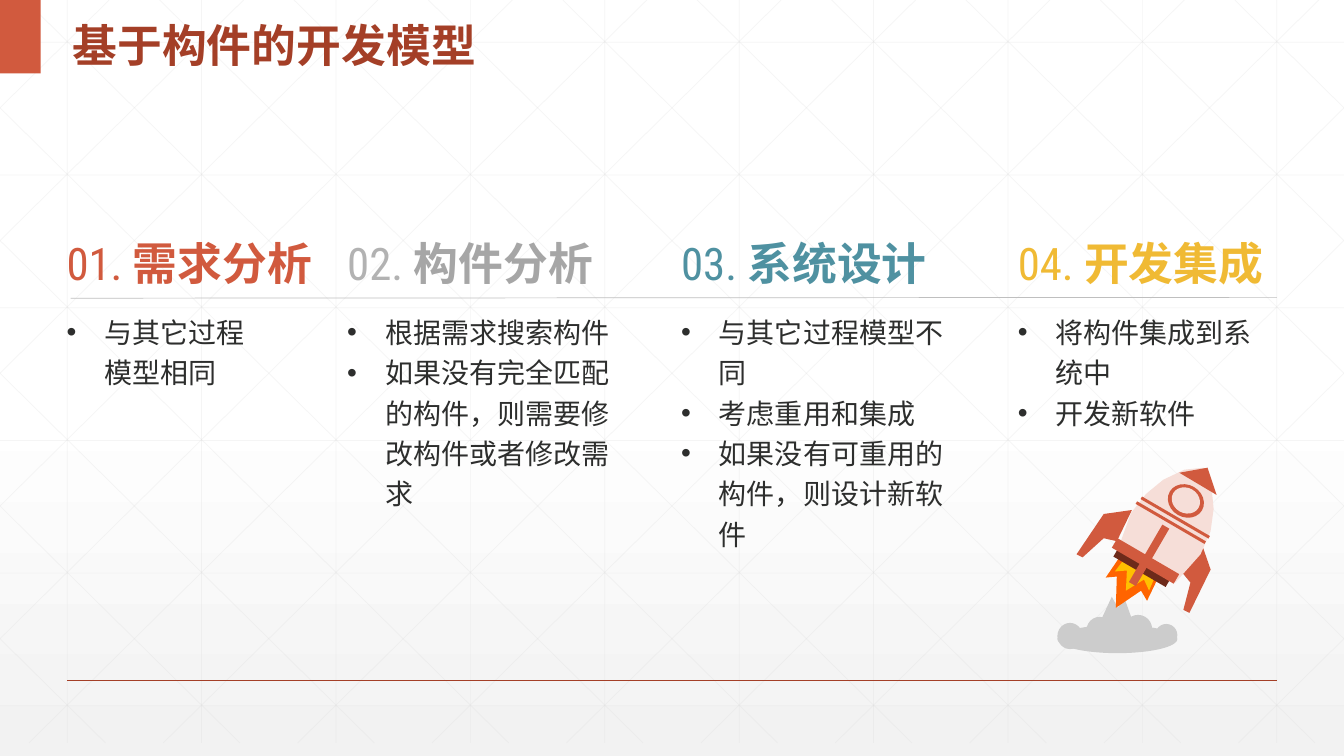
from lxml.etree import SubElement
from pptx import Presentation
from pptx.dml.color import RGBColor
from pptx.enum.shapes import MSO_CONNECTOR, MSO_SHAPE
from pptx.enum.text import MSO_ANCHOR, MSO_AUTO_SIZE, PP_ALIGN
from pptx.oxml.ns import qn
from pptx.util import Pt

COLORS = {
    "white": "FFFFFF", "mist": "F2F2F2", "lattice": "D9D9D9", "rule": "BFBFBF",
    "brick": "A43F27", "red": "D15A3E", "number gray": "B2B2B2", "gray": "A6A6A6",
    "teal": "4F91A1", "gold": "F0BA34", "ink": "2D2E2D", "smoke": "CCCCCC",
    "orange": "FF6400", "amber": "FFC000", "blush": "F6DED8", "maroon": "6D2A1A",
}
HAN, SANS, NARROW = "Noto Sans CJK SC", "Arial", "Roboto Condensed"
WIDTH, HEIGHT = 960, 540
HEAD_TOP, LIST_TOP = 163.5, 220.5

TITLE = "基于构件的开发模型"
STEPS = [
    dict(name="需求分析", number_color="red", color="red", left=47.5, width=140.5,
         height=163, points=["与其它过程模型相同"]),
    dict(name="构件分析", number_color="number gray", color="gray", left=248, width=190,
         height=191.5,
         points=["根据需求搜索构件", "如果没有完全匹配的构件，则需要修改构件或者修改需求"]),
    dict(name="系统设计", number_color="teal", color="teal", left=486.5, width=192,
         height=191.5,
         points=["与其它过程模型不同", "考虑重用和集成", "如果没有可重用的构件，则设计新软件"]),
    dict(name="开发集成", number_color="gold", color="gold", left=727, width=169,
         height=90, points=["将构件集成到系统中", "开发新软件"]),
]

ROCKET_UNIT = 0.72
ROCKET_TILT = 30.2
SMOKE_PUFFS = [(1049, 620, 119, 28), (1049, 618, 25, 26), (1078, 612, 26, 26),
               (1115, 610, 28, 28), (1146, 619, 22, 22)]
OUTLINES = [
    ("smoke", [(1090, 620), (1103, 592), (1109, 603), (1115, 592), (1125, 620)]),
    ("orange", [(1114, 548), (1097, 573), (1108, 572), (1107, 603), (1132, 586),
                (1138, 596), (1151, 569)]),
    ("amber", [(1119, 550), (1106, 567), (1118, 566), (1117, 586), (1135, 575),
               (1140, 586), (1148, 567)]),
    ("red", [(1123, 506), (1095, 510), (1068, 550), (1074, 553), (1095, 534), (1108, 537)]),
    ("red", [(1192, 539), (1201, 565), (1180, 608), (1174, 605), (1181, 578), (1172, 567)]),
    ("blush", [(1166, 578), (1191, 550), (1201, 527), (1204, 505), (1202, 484),
               (1194, 464), (1175, 466), (1154, 476), (1137, 490), (1122, 509), (1109, 545)]),
    ("red", [(1207, 491), (1198, 464), (1170, 469)]),
]
BANDS = [("red", 1127, 512, 78, 3), ("red", 1122, 517, 79, 3),
         ("maroon", 1103, 558, 60, 10), ("red", 1101, 551, 71, 11),
         ("red", 1136, 518, 8, 66)]
PORTHOLE = [("red", 1158, 481, 37, 32), ("blush", 1162, 484, 29, 25)]


def rgb(color):
    return RGBColor.from_string(COLORS[color])


def write_text(frame, paragraphs, size=20, spacing=1.0, anchor=MSO_ANCHOR.TOP,
               inset=0, bullet=None, hang=27):
    frame.word_wrap = True
    frame.auto_size = MSO_AUTO_SIZE.NONE
    frame.vertical_anchor = anchor
    frame.margin_left = frame.margin_right = Pt(inset)
    frame.margin_top = frame.margin_bottom = Pt(inset / 2)
    for index, runs in enumerate(paragraphs):
        paragraph = frame.add_paragraph() if index else frame.paragraphs[0]
        if bullet:
            properties = paragraph._p.get_or_add_pPr()
            properties.set("marL", str(Pt(hang)))
            properties.set("indent", str(-Pt(hang)))
            SubElement(properties, qn("a:buFont"), typeface=SANS)
            SubElement(properties, qn("a:buChar"), char=bullet)
        paragraph.alignment = PP_ALIGN.LEFT
        paragraph.line_spacing = spacing
        paragraph.space_before = Pt(0)
        for words, font_name, color, bold in runs:
            run = paragraph.add_run()
            run.text = words
            run.font.size = Pt(size)
            run.font.bold = bold
            run.font.color.rgb = rgb(color)
            run.font.name = font_name
            SubElement(run._r.get_or_add_rPr(), qn("a:ea"), typeface=HAN)


def place(shape, left, top, width, height):
    shape.left, shape.top, shape.width, shape.height = map(Pt, (left, top, width, height))


def draw_line(shapes, start, end, color, weight, alpha=None):
    line = shapes.add_connector(MSO_CONNECTOR.STRAIGHT, *map(Pt, start + end))
    line.line.color.rgb = rgb(color)
    line.line.width = Pt(weight)
    SubElement(line._element.spPr, qn("a:effectLst"))
    if alpha:
        tint = line._element.spPr.find(".//" + qn("a:srgbClr"))
        SubElement(tint, qn("a:alpha"), val=str(alpha * 1000))


def paint(shape, color):
    shape.shadow.inherit = False
    shape.fill.solid()
    shape.fill.fore_color.rgb = rgb(color)
    shape.line.fill.background()


def draw_lattice(slide, bottom=530.6, step_x=96, step_y=94.8):
    group = slide.shapes.add_group_shape()
    lines = [((48 + step_x * k, 0), (48 + step_x * k, bottom)) for k in range(10)]
    lines += [((0, 30.2 + step_y * k), (WIDTH, 30.2 + step_y * k)) for k in range(6)]
    slope = step_y / step_x
    for k in range(-5, 10):
        origin = 18 + step_x * k
        x1, x2 = max(0, origin), min(WIDTH, origin + bottom / slope)
        y1, y2 = (x1 - origin) * slope, (x2 - origin) * slope
        lines += [((x1, y1), (x2, y2)), ((WIDTH - x1, y1), (WIDTH - x2, y2))]
    for start, end in lines:
        draw_line(group.shapes, start, end, "lattice", 0.5, alpha=25)
    group._element.getparent().insert(2, group._element)


def draw_rocket(slide):
    rocket = slide.shapes.add_group_shape().shapes

    def add_part(kind, color, box, tilt=0):
        part = rocket.add_shape(kind, *(Pt(v * ROCKET_UNIT) for v in box))
        part.rotation = tilt
        paint(part, color)

    for puff in SMOKE_PUFFS:
        add_part(MSO_SHAPE.OVAL, "smoke", puff)
    for color, outline in OUTLINES:
        first, *others = [(Pt(x * ROCKET_UNIT), Pt(y * ROCKET_UNIT)) for x, y in outline]
        builder = rocket.build_freeform(*first)
        builder.add_line_segments(others, close=True)
        paint(builder.convert_to_shape(), color)
    for kind, parts in ((MSO_SHAPE.RECTANGLE, BANDS), (MSO_SHAPE.OVAL, PORTHOLE)):
        for color, *box in parts:
            add_part(kind, color, box, ROCKET_TILT)


def main():
    deck = Presentation()
    deck.slide_width, deck.slide_height = Pt(WIDTH), Pt(HEIGHT)
    slide = deck.slides.add_slide(deck.slide_layouts.get_by_name("Comparison"))
    backdrop = slide.background.fill
    backdrop.gradient()
    backdrop.gradient_angle = 270
    for stop, position, color in zip(backdrop.gradient_stops, (0.53, 1), ("white", "mist")):
        stop.position = position
        stop.color.rgb = rgb(color)

    draw_lattice(slide)
    draw_line(slide.shapes, (48, 486), (912, 486), "brick", 1)
    corner = slide.shapes.add_shape(MSO_SHAPE.RECTANGLE, 0, 0, Pt(29), Pt(52.5))
    paint(corner, "red")

    title, *lists = slide.placeholders
    place(title, 44.6, 0, 545, 52.5)
    write_text(title.text_frame, [[(TITLE, HAN, "brick", True)]], size=32, spacing=1.3,
               anchor=MSO_ANCHOR.MIDDLE, inset=7.2)

    for number, (step, body) in enumerate(zip(STEPS, lists), 1):
        heading = slide.shapes.add_textbox(Pt(step["left"]), Pt(HEAD_TOP), Pt(190), Pt(48))
        write_text(heading.text_frame,
                   [[(f"{number:02}. ", NARROW, step["number_color"], False),
                     (step["name"], SANS, step["color"], True)]],
                   size=32, anchor=MSO_ANCHOR.MIDDLE)
        place(body, step["left"], LIST_TOP, step["width"], step["height"])
        write_text(body.text_frame,
                   [[(point, SANS, "ink", False)] for point in step["points"]],
                   spacing=Pt(28.8), bullet="•")

    draw_line(slide.shapes, (50.4, 213), (912, 212.4), "rule", 0.5)
    draw_rocket(slide)
    deck.save("out.pptx")


if __name__ == "__main__":
    main()
